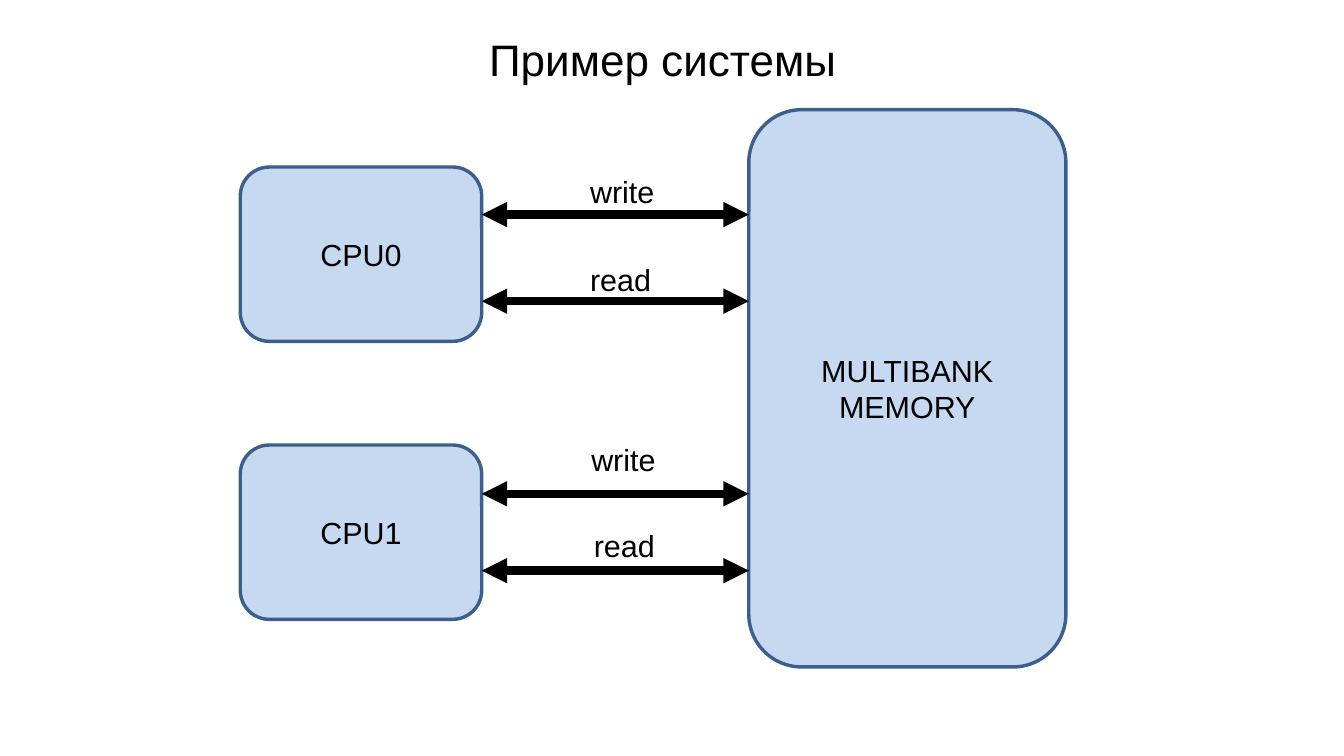
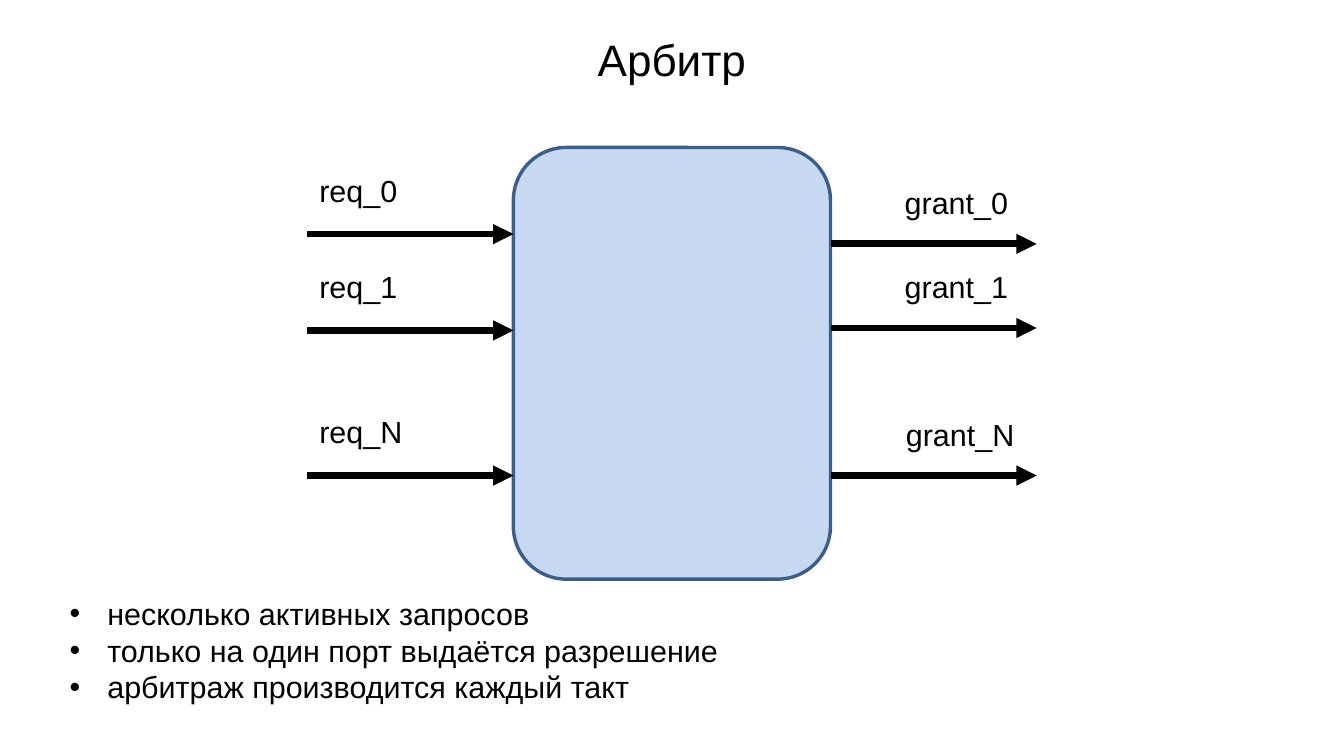
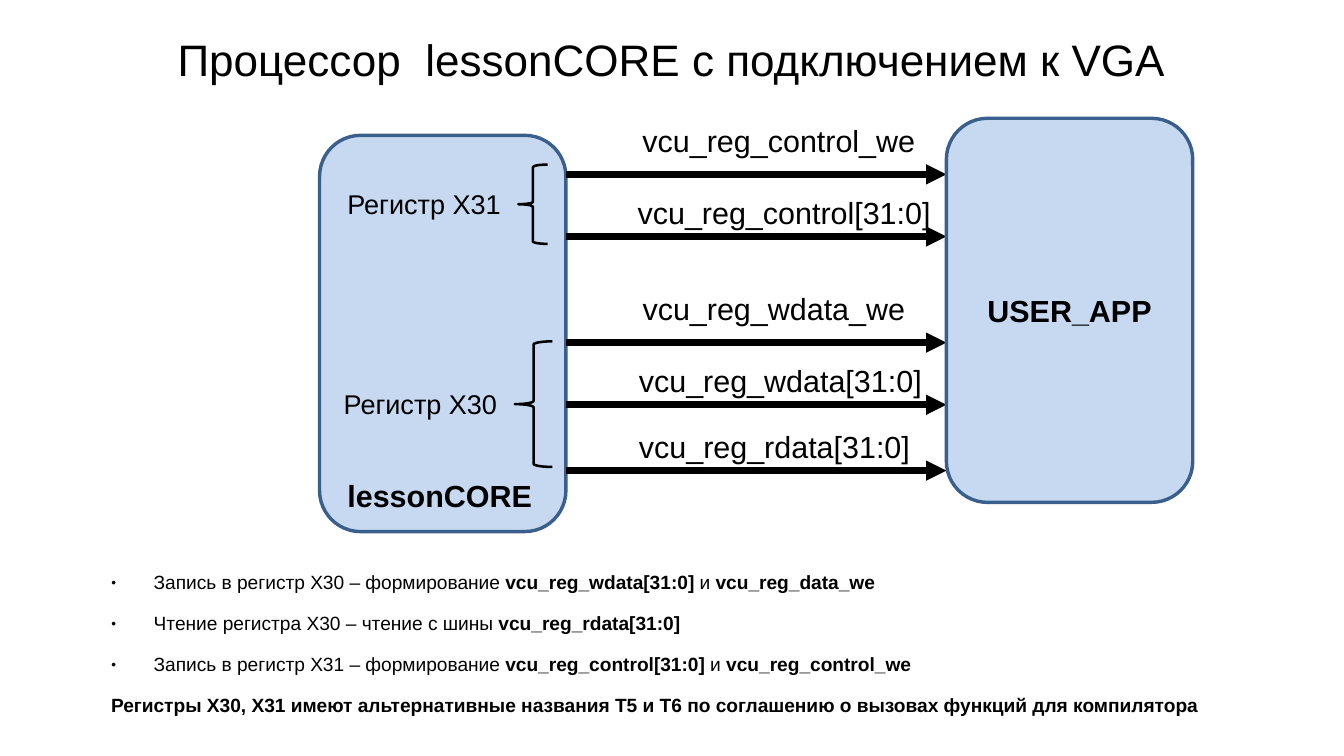
from dataclasses import dataclass

import pptx
import pptx.dml.color
import pptx.enum.dml
import pptx.enum.shapes
import pptx.enum.text
import pptx.oxml
import pptx.oxml.ns
import pptx.util

Inches = pptx.util.Inches
Pt = pptx.util.Pt
RGBColor = pptx.dml.color.RGBColor
Align = pptx.enum.text.PP_ALIGN
Anchor = pptx.enum.text.MSO_ANCHOR
AutoSize = pptx.enum.text.MSO_AUTO_SIZE
Shape = pptx.enum.shapes.MSO_SHAPE
qn = pptx.oxml.ns.qn

# Shared style
BLACK = RGBColor(0x00, 0x00, 0x00)
BLOCK_FILL = RGBColor(0xC6, 0xD9, 0xF1)
BLOCK_LINE = RGBColor(0x3A, 0x5F, 0x8C)
FONT = "Arial"
TITLE_SIZE = 26
TEXT_SIZE = 18
LABEL_HEIGHT = 0.4
LAYOUT_BODY, LAYOUT_TITLE_ONLY = 1, 5
PROCESSOR = "lessonCORE"


@dataclass(frozen=True)
class Box:
    left: float
    top: float
    width: float
    height: float

    def lengths(self) -> tuple:
        return tuple(Inches(v) for v in (self.left, self.top, self.width, self.height))


@dataclass(frozen=True)
class Block:
    box: Box
    lines: tuple = ()
    bold: bool = False


@dataclass(frozen=True)
class Span:
    """Horizontal reach and line style of a group of arrows."""
    start: float
    end: float
    weight: float = 4
    two_way: bool = False


@dataclass(frozen=True)
class Signal:
    name: str
    y: float
    left: float
    top: float
    width: float


@dataclass(frozen=True)
class Bullet:
    """Paragraph settings of a list; no char means no bullet."""
    margin: float
    indent: float
    char: str = ""
    percent: int = 100
    before: float = 0


TITLE_BOX = Box(0.55, 0.25, 9.92, 0.46)


def add_run(p, text: str, size: float = TEXT_SIZE, bold: bool = False) -> None:
    r = p.add_run()
    r.text = text
    r.font.name = FONT
    r.font.size = Pt(size)
    r.font.bold = bold
    r.font.color.rgb = BLACK


def append_xml(parent, tag: str, **attrs: str):
    child = parent.makeelement(qn(tag), attrs)
    parent.append(child)
    return child


def paragraph(tf, index: int):
    return tf.add_paragraph() if index else tf.paragraphs[0]


def place(sp, box: Box) -> None:
    sp.left, sp.top, sp.width, sp.height = box.lengths()


def clear_insets(tf) -> None:
    tf.margin_left = tf.margin_top = tf.margin_right = tf.margin_bottom = 0


def add_slide(prs, layout: int, title: str, box: Box = TITLE_BOX):
    s = prs.slides.add_slide(prs.slide_layouts[layout])
    place(s.shapes.title, box)
    tf = s.shapes.title.text_frame
    clear_insets(tf)
    tf.auto_size = AutoSize.NONE
    tf.vertical_anchor = Anchor.MIDDLE
    p = tf.paragraphs[0]
    p.alignment = Align.CENTER
    add_run(p, title, TITLE_SIZE)
    return s


def add_block(s, block: Block) -> None:
    sp = s.shapes.add_shape(Shape.ROUNDED_RECTANGLE, *block.box.lengths())
    sp.shadow.inherit = False
    sp.fill.solid()
    sp.fill.fore_color.rgb = BLOCK_FILL
    sp.line.color.rgb = BLOCK_LINE
    sp.line.width = Pt(2)
    tf = sp.text_frame
    tf.vertical_anchor = Anchor.MIDDLE
    for i, line in enumerate(block.lines):
        p = paragraph(tf, i)
        p.alignment = Align.CENTER
        add_run(p, line, bold=block.bold)


def add_brace(s, box: Box) -> None:
    sp = s.shapes.add_shape(Shape.LEFT_BRACE, *box.lengths())
    sp.shadow.inherit = False
    sp.fill.background()
    sp.line.color.rgb = BLACK
    sp.line.width = Pt(1.5)


def add_label(s, text: str, box: Box, size: float = TEXT_SIZE,
              bold: bool = False, wrap: bool = False) -> None:
    tf = s.shapes.add_textbox(*box.lengths()).text_frame
    tf.word_wrap = wrap
    tf.auto_size = AutoSize.SHAPE_TO_FIT_TEXT
    add_run(tf.paragraphs[0], text, size, bold)


def add_arrow(s, span: Span, y: float) -> None:
    sp = s.shapes.add_connector(
        pptx.enum.shapes.MSO_CONNECTOR.STRAIGHT,
        Inches(span.start), Inches(y), Inches(span.end), Inches(y))
    sp.line.color.rgb = BLACK
    sp.line.width = Pt(span.weight)
    ln = sp.line._get_or_add_ln()
    if span.two_way:
        append_xml(ln, "a:headEnd", type="triangle")
    append_xml(ln, "a:tailEnd", type="triangle")
    append_xml(sp._element.spPr, "a:effectLst")


def add_signals(s, span: Span, signals: list) -> None:
    for sig in signals:
        add_arrow(s, span, sig.y)
        add_label(s, sig.name, Box(sig.left, sig.top, sig.width, LABEL_HEIGHT))


def format_bullet(p, bullet: Bullet) -> None:
    p.space_before = Pt(bullet.before)
    p_pr = p._p.get_or_add_pPr()
    p_pr.set("marL", str(Inches(bullet.margin)))
    p_pr.set("indent", str(Inches(bullet.indent)))
    if not bullet.char:
        append_xml(p_pr, "a:buNone")
        return
    append_xml(append_xml(p_pr, "a:buClr"), "a:srgbClr", val=str(BLACK))
    append_xml(p_pr, "a:buSzPct", val=str(bullet.percent * 1000))
    append_xml(p_pr, "a:buFont", typeface=FONT)
    append_xml(p_pr, "a:buChar", char=bullet.char)


def add_list(s, box: Box, items: list, size: float, wrap: bool = True):
    """Fill the body; each item is a Bullet and its (text, bold) runs."""
    sp = s.placeholders[1]
    place(sp, box)
    tf = sp.text_frame
    tf.word_wrap = wrap
    tf.auto_size = AutoSize.NONE
    for i, (bullet, runs) in enumerate(items):
        p = paragraph(tf, i)
        format_bullet(p, bullet)
        for text, bold in runs:
            add_run(p, text, size, bold)
    return tf


def build_system(prs) -> None:
    s = add_slide(prs, LAYOUT_TITLE_ONLY, "Пример системы", Box(0.79, 0.25, 9.29, 0.46))
    for i, top in enumerate((1.37, 3.65)):
        add_block(s, Block(Box(1.97, top, 1.98, 1.43), (f"CPU{i}",)))
    add_block(s, Block(Box(6.14, 0.9, 2.6, 4.57), ("MULTIBANK", "MEMORY")))
    add_signals(s, Span(3.95, 6.14, weight=5, two_way=True), [
        Signal("write", 1.76, 4.74, 1.37, 0.73),
        Signal("read", 2.47, 4.74, 2.09, 0.71),
        Signal("write", 4.05, 4.75, 3.57, 0.73),
        Signal("read", 4.68, 4.77, 4.27, 0.71),
    ])


def build_arbiter(prs) -> None:
    s = add_slide(prs, LAYOUT_BODY, "Арбитр")
    add_block(s, Block(Box(4.21, 1.21, 2.6, 3.54)))
    # Requests enter on the left, grants leave on the right
    add_signals(s, Span(2.52, 4.21), [
        Signal("req_0", 1.92, 2.52, 1.36, 0.85),
        Signal("req_1", 2.71, 2.52, 2.15, 0.85),
        Signal("req_N", 3.9, 2.52, 3.34, 0.89),
    ])
    add_signals(s, Span(6.81, 8.5), [
        Signal("grant_0", 2, 7.32, 1.46, 1.06),
        Signal("grant_1", 2.69, 7.32, 2.15, 1.06),
        Signal("grant_N", 3.9, 7.33, 3.36, 1.1),
    ])
    bullet = Bullet(0.31, -0.31, "•")
    notes = ("несколько активных запросов",
             "только на один порт выдаётся разрешение",
             "арбитраж производится каждый такт")
    add_list(s, Box(0.47, 4.83, 5.58, 1.01),
             [(bullet, [(note, False)]) for note in notes], TEXT_SIZE, wrap=False)


def build_processor(prs) -> None:
    s = add_slide(prs, LAYOUT_BODY, f"Процессор  {PROCESSOR} с подключением к VGA")
    # Processor and its registers
    add_block(s, Block(Box(2.62, 1.11, 2.02, 3.25)))
    add_label(s, "Регистр X31", Box(2.75, 1.49, 1.65, 0.37), 16, wrap=True)
    add_label(s, "Регистр X30", Box(2.72, 3.13, 1.65, 0.37), 16, wrap=True)
    add_label(s, PROCESSOR, Box(2.75, 3.86, 1.81, LABEL_HEIGHT), bold=True, wrap=True)
    # Bus to the application
    add_signals(s, Span(4.64, 7.76), [
        Signal("vcu_reg_control_we", 1.43, 5.17, 0.95, 2.46),
        Signal("vcu_reg_control[31:0]", 1.94, 5.13, 1.54, 2.63),
        Signal("vcu_reg_wdata_we", 2.81, 5.17, 2.33, 2.38),
        Signal("vcu_reg_wdata[31:0]", 3.32, 5.14, 2.92, 2.54),
        Signal("vcu_reg_rdata[31:0]", 3.86, 5.14, 3.46, 2.45),
    ])
    add_block(s, Block(Box(7.76, 0.97, 2.02, 3.15), ("USER_APP",), bold=True))
    add_brace(s, Box(4.25, 1.35, 0.24, 0.65))
    add_brace(s, Box(4.22, 2.8, 0.31, 1.03))
    # Register notes
    bullet = Bullet(0.47, -0.35, "●", 45, 10.6)
    plain = Bullet(0.12, 0, before=10.6)
    tf = add_list(s, Box(0.79, 4.68, 9.92, 1.23), [
        (bullet, [("Запись в регистр X30 – формирование ", False),
                  ("vcu_reg_wdata[31:0] ", True), ("и ", False),
                  ("vcu_reg_data_we", True)]),
        (bullet, [("Чтение регистра X30 – чтение с шины ", False),
                  ("vcu_reg_rdata[31:0]", True)]),
        (bullet, [("Запись в регистр X31 – формирование ", False),
                  ("vcu_reg_control[31:0] ", True), ("и ", False),
                  ("vcu_reg_control_we", True)]),
        (plain, [("Регистры X30, X31 имеют альтернативные названия T5 и T6 "
                  "по соглашению о вызовах функций для компилятора", True)]),
    ], 11.3)
    clear_insets(tf)


def main() -> None:
    prs = pptx.Presentation()
    prs.slide_width, prs.slide_height = Inches(11.02), Inches(6.2)
    for build in (build_system, build_arbiter, build_processor):
        build(prs)
    prs.save("out.pptx")


if __name__ == "__main__":
    main()
